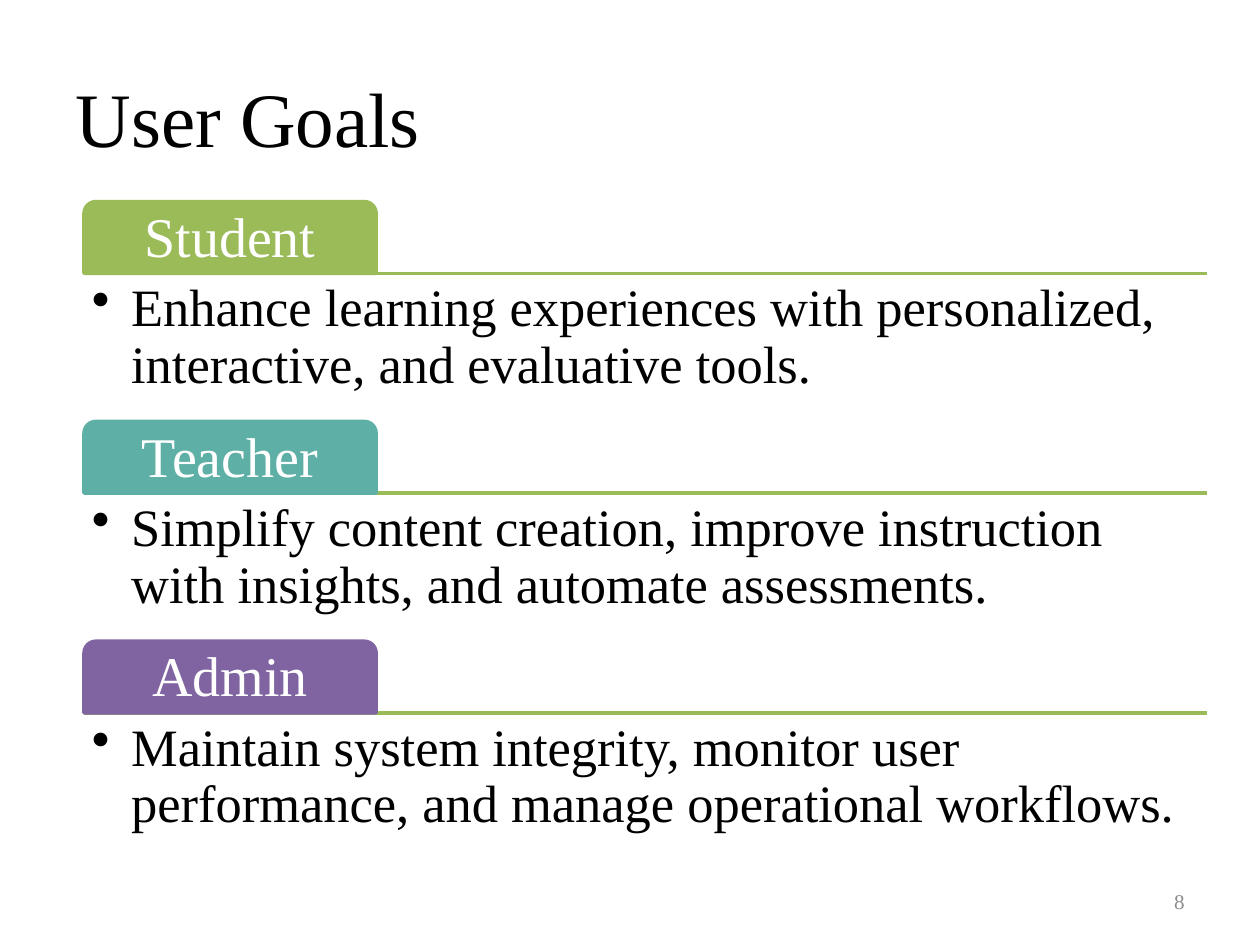
import pptx
import pptx.dml.color
import pptx.enum.shapes
import pptx.enum.text
import pptx.oxml.ns
import pptx.util
from lxml import etree

Pt = pptx.util.Pt
ALIGN = pptx.enum.text.PP_ALIGN
ANCHOR = pptx.enum.text.MSO_ANCHOR
FONT = "Times New Roman"
COLORS = {
    "text": "000000",
    "label": "FFFFFF",
    "number": "8C8C8C",
    "rule": "9BBB59",
    "student": "9BBB59",
    "teacher": "5EAFA6",
    "admin": "8064A2",
}
GOALS = [
    ("Student", "student", "Enhance learning experiences with personalized, interactive, and evaluative tools."),
    ("Teacher", "teacher", "Simplify content creation, improve instruction with insights, and automate assessments."),
    ("Admin", "admin", "Maintain system integrity, monitor user performance, and manage operational workflows."),
]
TAB_WIDTH, TAB_HEIGHT = 167, 41
TEXT_HEIGHT = 82
GOAL_PITCH = 125.6


def rgb(name):
    """Return the named palette colour."""
    return pptx.dml.color.RGBColor.from_string(COLORS[name])


def write_text(shape, text, size, color, align, anchor, margin=None):
    """Fill a shape with one formatted paragraph and return the paragraph."""
    frame = shape.text_frame
    frame.word_wrap = True
    frame.auto_size = pptx.enum.text.MSO_AUTO_SIZE.NONE
    frame.vertical_anchor = anchor
    if margin is not None:
        frame.margin_left = frame.margin_right = Pt(margin)
        frame.margin_top = frame.margin_bottom = Pt(margin)
    frame.text = text
    paragraph = frame.paragraphs[0]
    paragraph.alignment = align
    font = paragraph.runs[0].font
    font.name, font.size = FONT, Pt(size)
    font.color.rgb = rgb(color)
    return paragraph


def add_bullet(paragraph, indent):
    """Give a paragraph a round bullet with a hanging indent."""
    properties = paragraph._p.get_or_add_pPr()
    properties.set("marL", str(Pt(indent)))
    properties.set("indent", str(-Pt(indent)))
    bullet = etree.SubElement(properties, pptx.oxml.ns.qn("a:buChar"))
    bullet.set("char", "•")


def add_title(slide, left, top, width, height):
    """Place the slide title in its placeholder."""
    title = slide.shapes.title
    title.left, title.top, title.width, title.height = map(Pt, (left, top, width, height))
    write_text(title, "User Goals", 44, "text", ALIGN.LEFT, ANCHOR.MIDDLE)


def add_rule(slide, left, top, width):
    """Draw the horizontal rule under a goal tab."""
    rule = slide.shapes.add_connector(
        pptx.enum.shapes.MSO_CONNECTOR.STRAIGHT, Pt(left), Pt(top), Pt(left + width), Pt(top))
    rule.line.color.rgb = rgb("rule")
    rule.line.width = Pt(2)
    etree.SubElement(rule._element.spPr, pptx.oxml.ns.qn("a:effectLst"))


def add_goal(slide, left, top, width, label, color, goal):
    """Place one user role: rule, coloured tab and bulleted goal."""
    rule_top = top + TAB_HEIGHT
    add_rule(slide, left, rule_top, width)

    tab = slide.shapes.add_shape(
        pptx.enum.shapes.MSO_SHAPE.ROUND_2_SAME_RECTANGLE,
        Pt(left), Pt(top), Pt(TAB_WIDTH), Pt(TAB_HEIGHT))
    tab.shadow.inherit = False
    tab.fill.solid()
    tab.fill.fore_color.rgb = rgb(color)
    tab.line.color.rgb = rgb(color)
    tab.line.width = Pt(2)
    heading = write_text(tab, label, 32, "label", ALIGN.CENTER, ANCHOR.MIDDLE, 5)
    heading.line_spacing = 0.9

    body = slide.shapes.add_textbox(Pt(left), Pt(rule_top), Pt(width), Pt(TEXT_HEIGHT))
    paragraph = write_text(body, goal, 30, "text", ALIGN.LEFT, ANCHOR.TOP, 4.5)
    paragraph.line_spacing = 0.9
    add_bullet(paragraph, 22.5)


def add_goals(slide, left, top, width):
    """Stack the user roles at an equal pitch."""
    for index, (label, color, goal) in enumerate(GOALS):
        add_goal(slide, left, top + index * GOAL_PITCH, width, label, color, goal)


def add_page_number(slide, left, top, width, height):
    """Place the page number at the lower right."""
    box = slide.shapes.add_textbox(Pt(left), Pt(top), Pt(width), Pt(height))
    write_text(box, "8", 12, "number", ALIGN.RIGHT, ANCHOR.MIDDLE)


def main():
    """Build and save the slide."""
    presentation = pptx.Presentation()
    presentation.slide_width, presentation.slide_height = Pt(720), Pt(540)
    slide = presentation.slides.add_slide(presentation.slide_layouts[5])
    add_title(slide, 36, 21.6, 648, 90)
    add_goals(slide, 48, 115.2, 642)
    add_page_number(slide, 516, 500.5, 168, 28.75)
    presentation.save("out.pptx")


if __name__ == "__main__":
    main()
